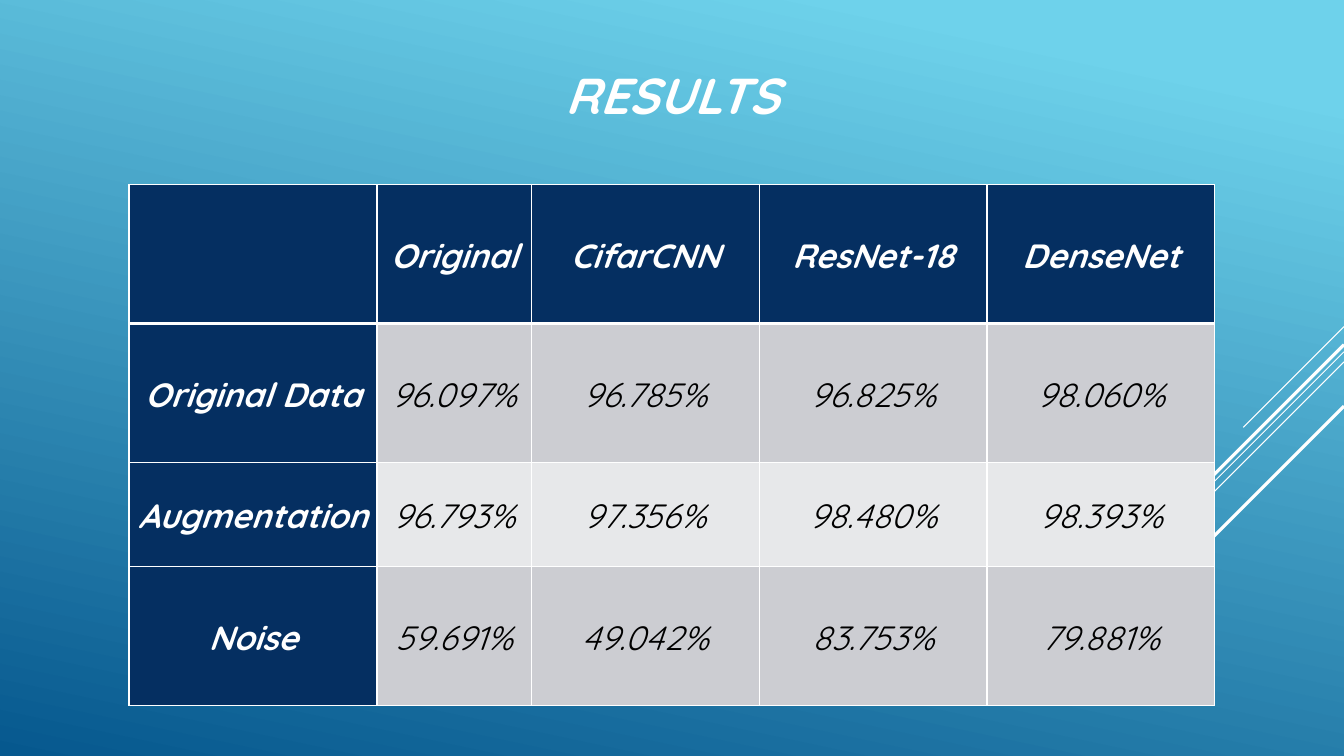
import pptx
import pptx.util
import pptx.dml.color
import pptx.enum.shapes
import pptx.enum.text
import pptx.oxml
import pptx.oxml.ns

TITLE = "RESULTS"
RESULTS = [
    ("", "Original", "CifarCNN", "ResNet-18", "DenseNet"),
    ("Original Data", "96.097%", "96.785%", "96.825%", "98.060%"),
    ("Augmentation", "96.793%", "97.356%", "98.480%", "98.393%"),
    ("Noise", "59.691%", "49.042%", "83.753%", "79.881%"),
]
WIDTH, HEIGHT = 13.33, 7.5
TITLE_BOX = (2, 0.11, 9.33, 1.65)
TABLE_LEFT, TABLE_TOP = 1.28, 1.83
COLUMNS = [2.46, 1.53] + [2.26] * 3
ROWS = [1.38, 1.38, 1.03, 1.38]
DIAGONALS = [(3.24, 1, "thin"), (3.49, 3.26, "thin"), (3.59, 2.07, "thin"),
             (3.42, 1.91, "thick"), (4.03, 1.39, "thick")]
THEME = {
    "font": "Quicksand",
    "title_size": 36,
    "cell_size": 24,
    "light": "FFFFFF",
    "dark": "000000",
    "head": "052F61",
    "bands": ("E7E8EA", "CCCDD2"),
    "gradient": ((0.1, "6ED2EB"), (1, "06588E")),
    "gradient_angle": 360 - 102,
    "lines": {"thin": 0.75, "thick": 2.25},
    "border": 1,
    "head_border": 3,
}

Inches, Pt = pptx.util.Inches, pptx.util.Pt
PP_ALIGN = pptx.enum.text.PP_ALIGN
MIDDLE = pptx.enum.text.MSO_ANCHOR.MIDDLE


def rgb(value):
    return pptx.dml.color.RGBColor.from_string(value)


def set_all(target, formats):
    for name, value in formats.items():
        setattr(target, name, value)


def write(tf, text, size, color, bold):
    p = tf.paragraphs[0]
    p.alignment = PP_ALIGN.CENTER
    r = p.add_run()
    r.text = text
    set_all(r.font, {"name": THEME["font"], "size": Pt(size), "bold": bold, "italic": True})
    r.font.color.rgb = rgb(color)
    return p


def add_border(cell, side, width):
    cell._tc.get_or_add_tcPr().append(pptx.oxml.parse_xml(
        f'<a:ln{side} {pptx.oxml.ns.nsdecls("a")} w="{Pt(width)}">'
        f'<a:solidFill><a:srgbClr val="{THEME["light"]}"/></a:solidFill></a:ln{side}>'))


def paint_background(s):
    fill = s.background.fill
    fill.gradient()
    fill.gradient_angle = THEME["gradient_angle"]
    for stop, (position, color) in zip(fill.gradient_stops, THEME["gradient"]):
        stop.position = position
        stop.color.rgb = rgb(color)


def add_diagonals(s):
    for top, run, weight in DIAGONALS:
        line = s.shapes.add_connector(
            pptx.enum.shapes.MSO_CONNECTOR.STRAIGHT,
            Inches(WIDTH), Inches(top), Inches(WIDTH - run), Inches(top + run))
        line.line.color.rgb = rgb(THEME["light"])
        line.line.width = Pt(THEME["lines"][weight])
        line._element.spPr.append(
            pptx.oxml.parse_xml(f'<a:effectLst {pptx.oxml.ns.nsdecls("a")}/>'))


def add_title(s):
    title = s.shapes.title
    set_all(title, dict(zip(("left", "top", "width", "height"), map(Inches, TITLE_BOX))))
    set_all(title.text_frame, {"vertical_anchor": MIDDLE, "word_wrap": True})
    write(title.text_frame, TITLE, THEME["title_size"], THEME["light"], True)


def format_cell(cell, text, row, column):
    is_head = row == 0 or column == 0
    for side in "LRTB":
        under_head = (row, side) in ((0, "B"), (1, "T"))
        add_border(cell, side, THEME["head_border" if under_head else "border"])
    cell.fill.solid()
    cell.fill.fore_color.rgb = rgb(THEME["head"] if is_head else THEME["bands"][row % 2])
    set_all(cell, {"vertical_anchor": MIDDLE, "margin_left": Inches(0.07),
                   "margin_right": Inches(0.07), "margin_top": 0, "margin_bottom": 0})
    if text:
        p = write(cell.text_frame, text, THEME["cell_size"],
                  THEME["light" if is_head else "dark"], is_head)
        set_all(p, {"line_spacing": 1.07, "space_after": Pt(8)})


def add_results(s):
    table = s.shapes.add_table(
        len(ROWS), len(COLUMNS), Inches(TABLE_LEFT), Inches(TABLE_TOP),
        Inches(sum(COLUMNS)), Inches(sum(ROWS))).table
    set_all(table, {"first_row": False, "horz_banding": False})
    for column, width in zip(table.columns, COLUMNS):
        column.width = Inches(width)
    for row, height in zip(table.rows, ROWS):
        row.height = Inches(height)
    for i, values in enumerate(RESULTS):
        for j, text in enumerate(values):
            format_cell(table.cell(i, j), text, i, j)


def main():
    prs = pptx.Presentation()
    set_all(prs, {"slide_width": Inches(WIDTH), "slide_height": Inches(HEIGHT)})
    s = prs.slides.add_slide(prs.slide_layouts[5])
    paint_background(s)
    add_diagonals(s)
    add_title(s)
    add_results(s)
    prs.save("out.pptx")


if __name__ == "__main__":
    main()
